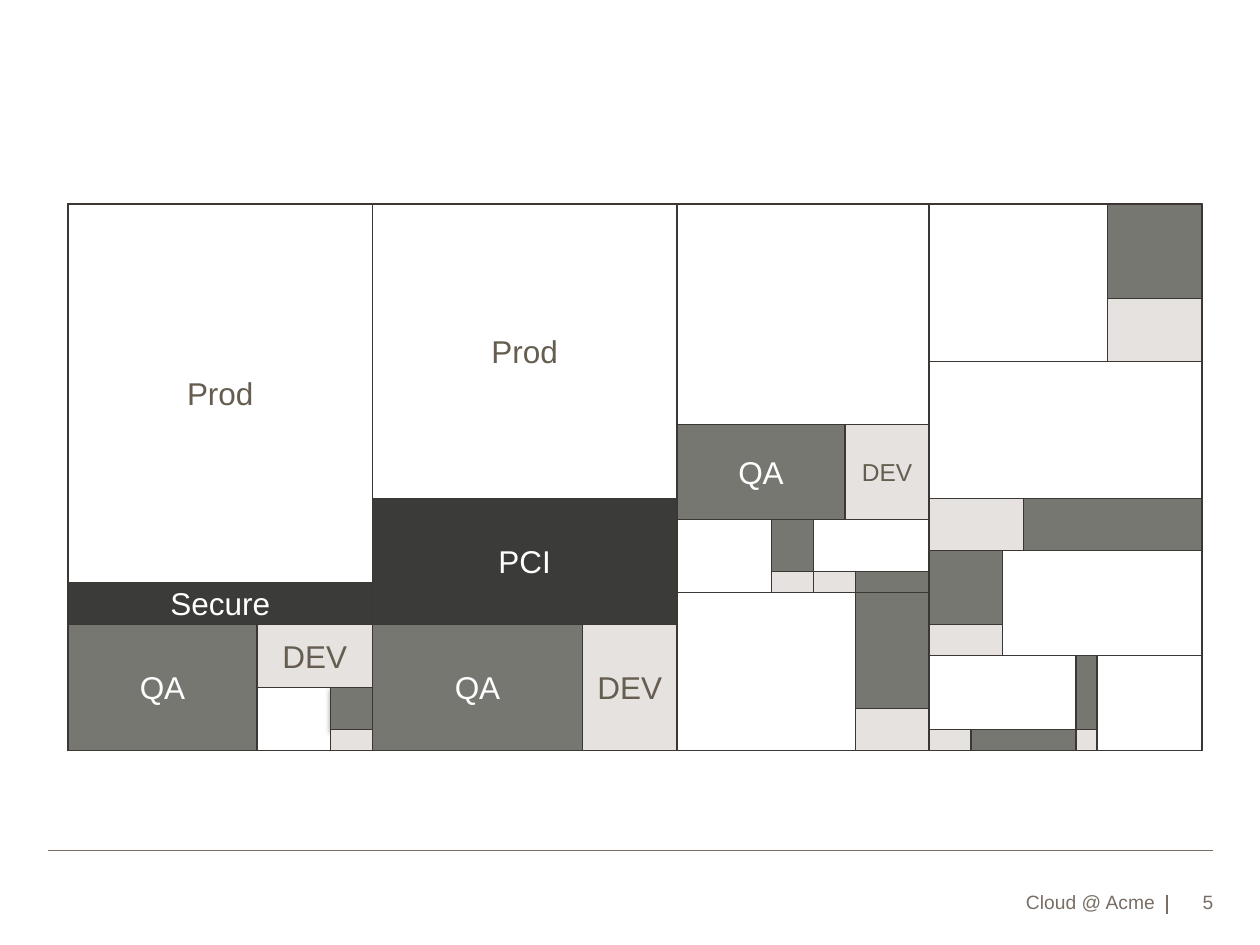
from lxml import etree
from pptx import Presentation
from pptx import util as u
from pptx.dml.color import RGBColor
from pptx.enum import shapes, text
from pptx.oxml import ns

WHITE = RGBColor(0xFF, 0xFF, 0xFF)
BLACK = RGBColor(0x3B, 0x3B, 0x39)
GRAY = RGBColor(0x77, 0x77, 0x72)
PALE = RGBColor(0xE5, 0xE2, 0xE0)
EDGE = RGBColor(0x3C, 0x37, 0x33)
BROWN = RGBColor(0x66, 0x5D, 0x51)
FOOTER = RGBColor(0x79, 0x6E, 0x65)
FONT = "Arial"
COLUMNS, ROWS = 108, 52

STYLES = {
    "prod": (WHITE, BROWN),
    "secure": (BLACK, WHITE),
    "qa": (GRAY, WHITE),
    "dev": (PALE, BROWN),
}

ZONES = [
    (0, 0, 29, 52), (82, 33, 26, 10), (58, 0, 24, 37), (96, 43, 12, 9),
    (82, 15, 26, 18), (82, 0, 26, 15), (82, 43, 14, 9), (29, 0, 29, 52),
    (58, 37, 24, 15), (18, 46, 11, 6), (71, 30, 11, 7), (58, 30, 13, 7),
]

LABELLED_TILES = [
    ("qa", (0, 40, 18, 12), "QA", 18),
    ("dev", (18, 40, 11, 6), "DEV", 18),
    ("prod", (29, 0, 29, 28), "Prod", 18),
    ("secure", (29, 28, 29, 12), "PCI", 18),
    ("qa", (29, 40, 20, 12), "QA", 18),
    ("dev", (49, 40, 9, 12), "DEV", 18),
    ("dev", (74, 21, 8, 9), "DEV", 14),
    ("qa", (58, 21, 16, 9), "QA", 18),
    ("secure", (0, 36, 29, 4), "Secure", 18),
    ("prod", (0, 0, 29, 36), "Prod", 18),
]

TENANTS = [
    {"prod": (18, 46, 7, 6), "qa": (25, 46, 4, 4), "dev": (25, 50, 4, 2)},
    {"prod": (58, 0, 24, 21)},
    {"prod": (58, 30, 9, 7), "qa": (67, 30, 4, 5), "dev": (67, 35, 4, 2)},
    {"prod": (58, 37, 17, 15), "dev": (75, 48, 7, 4), "qa": (75, 37, 7, 11)},
    {"prod": (71, 30, 11, 5), "dev": (71, 35, 4, 2), "qa": (75, 35, 7, 2)},
    {"prod": (82, 0, 17, 15), "qa": (99, 0, 9, 9), "dev": (99, 9, 9, 6)},
    {"prod": (82, 15, 26, 13), "dev": (82, 28, 9, 5), "qa": (91, 28, 17, 5)},
    {"prod": (89, 33, 19, 10), "qa": (82, 33, 7, 7), "dev": (82, 40, 7, 3)},
    {"prod": (82, 43, 14, 7), "dev": (82, 50, 4, 2), "qa": (86, 50, 10, 2)},
    {"prod": (98, 43, 10, 9), "qa": (96, 43, 2, 7), "dev": (96, 50, 2, 2)},
]


def portion(box, left, top, width, height):
    """Return the part of a box given by shares of its size."""
    x, y, w, h = box
    return [round(v) for v in (x + left * w, y + top * h, width * w, height * h)]


def add_tile(page, box, cell, style, label="", size=18):
    """Add one rectangle on the capacity grid, with an optional label."""
    left, top, width, height = cell
    place = portion(box, left / COLUMNS, top / ROWS, width / COLUMNS, height / ROWS)
    tile = page.shapes.add_shape(shapes.MSO_SHAPE.RECTANGLE, *place)
    fill, ink = STYLES[style]
    tile.shadow.inherit = False
    tile.fill.solid()
    tile.fill.fore_color.rgb = fill
    tile.line.color.rgb = EDGE
    tile.line.width = u.Pt(0.75)
    if label:
        frame = tile.text_frame
        frame.word_wrap = False
        frame.vertical_anchor = text.MSO_ANCHOR.MIDDLE
        write(frame.paragraphs[0], label, size, ink, text.PP_ALIGN.CENTER)
    return tile


def write(para, words, size, color, align):
    """Fill a paragraph and set its font."""
    para.text = words
    para.alignment = align
    para.font.name = FONT
    para.font.size = u.Pt(size)
    para.font.color.rgb = color


def add_soft_shadow(shape):
    """Give a shape a faint shadow below it."""
    effects = shape._element.spPr.find(ns.qn("a:effectLst"))
    shadow = etree.SubElement(effects, ns.qn("a:outerShdw"), blurRad=str(u.Pt(3.1)),
                              dist=str(u.Pt(1.8)), dir="5400000", rotWithShape="0")
    color = etree.SubElement(shadow, ns.qn("a:srgbClr"), val="000000")
    etree.SubElement(color, ns.qn("a:alpha"), val="35000")


def add_capacity_map(page, box):
    """Tile the box with zones, tenants and labelled environments."""
    for cell in ZONES:
        add_tile(page, box, cell, "prod")
    for number, tenant in enumerate(TENANTS):
        for style, cell in tenant.items():
            tile = add_tile(page, box, cell, style)
            if number == 0 and style == "qa":
                add_soft_shadow(tile)
    for style, cell, label, size in LABELLED_TILES:
        add_tile(page, box, cell, style, label, size)


def add_footer(page, box):
    """Add the rule, divider, deck title and page number."""
    for area in ((0, 0, 1, 0), (0.96, 0.7, 0, 0.3)):
        x, y, w, h = portion(box, *area)
        rule = page.shapes.add_connector(shapes.MSO_CONNECTOR.STRAIGHT, x, y, x + w, y + h)
        rule.line.color.rgb = FOOTER
        rule.line.width = u.Pt(1)
        etree.SubElement(rule._element.spPr, ns.qn("a:effectLst"))
    for words, area in (("Cloud @ Acme", (0.55, 0.44, 0.4, 0.56)),
                        ("5", (0.96, 0.46, 0.04, 0.54))):
        frame = page.shapes.add_textbox(*portion(box, *area)).text_frame
        frame.word_wrap = True
        frame.vertical_anchor = text.MSO_ANCHOR.BOTTOM
        frame.margin_left = frame.margin_right = frame.margin_bottom = 0
        write(frame.paragraphs[0], words, 11, FOOTER, text.PP_ALIGN.RIGHT)


def main():
    """Build the slide and save the deck."""
    deck = Presentation()
    deck.slide_width, deck.slide_height = u.Inches(10), u.Inches(7.5)
    page = deck.slides.add_slide(deck.slide_layouts[6])
    whole = (0, 0, deck.slide_width, deck.slide_height)
    add_footer(page, portion(whole, 0.038, 0.9, 0.925, 0.067))
    add_capacity_map(page, portion(whole, 0.054, 0.216, 0.9, 0.578))
    deck.save("out.pptx")


if __name__ == "__main__":
    main()
